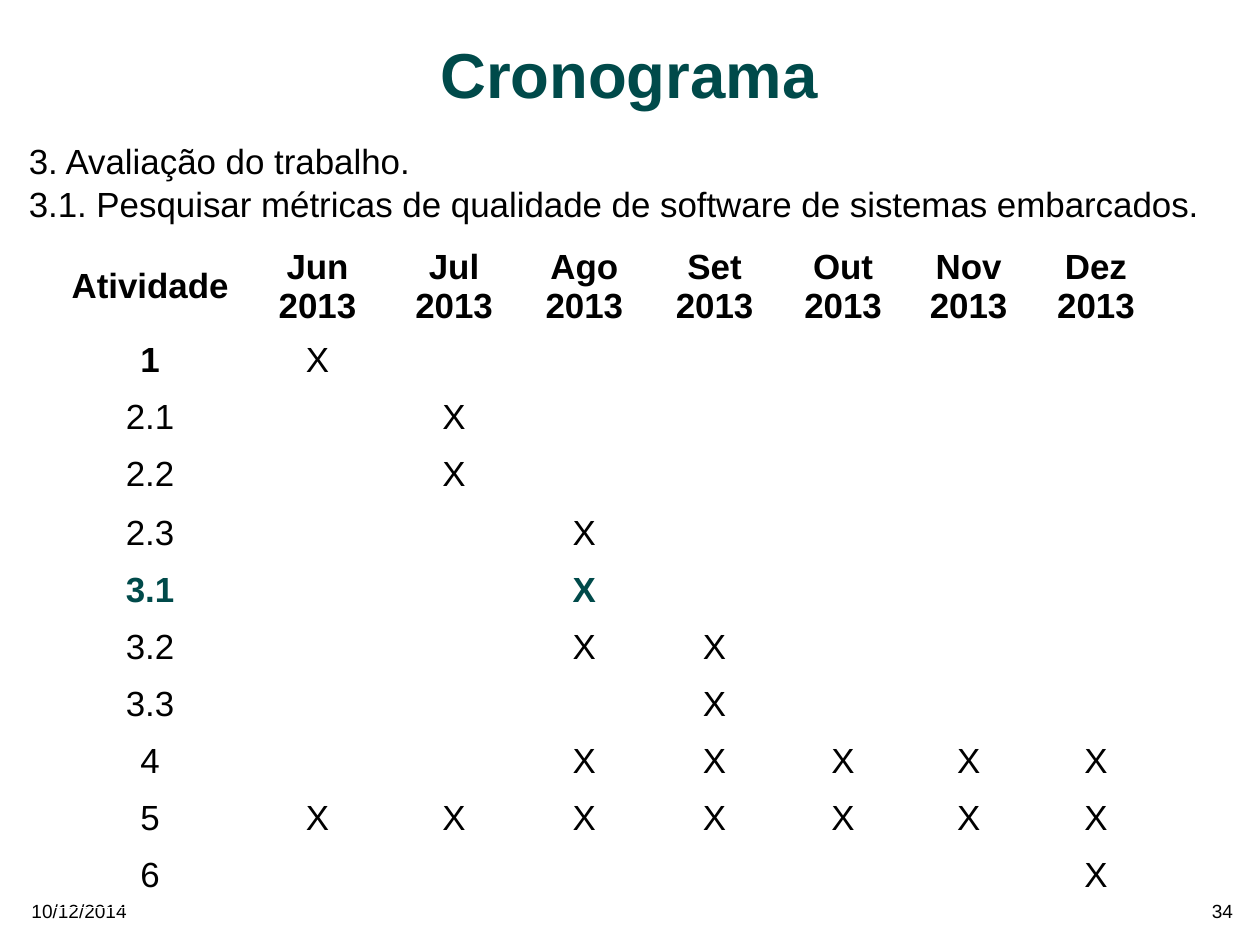
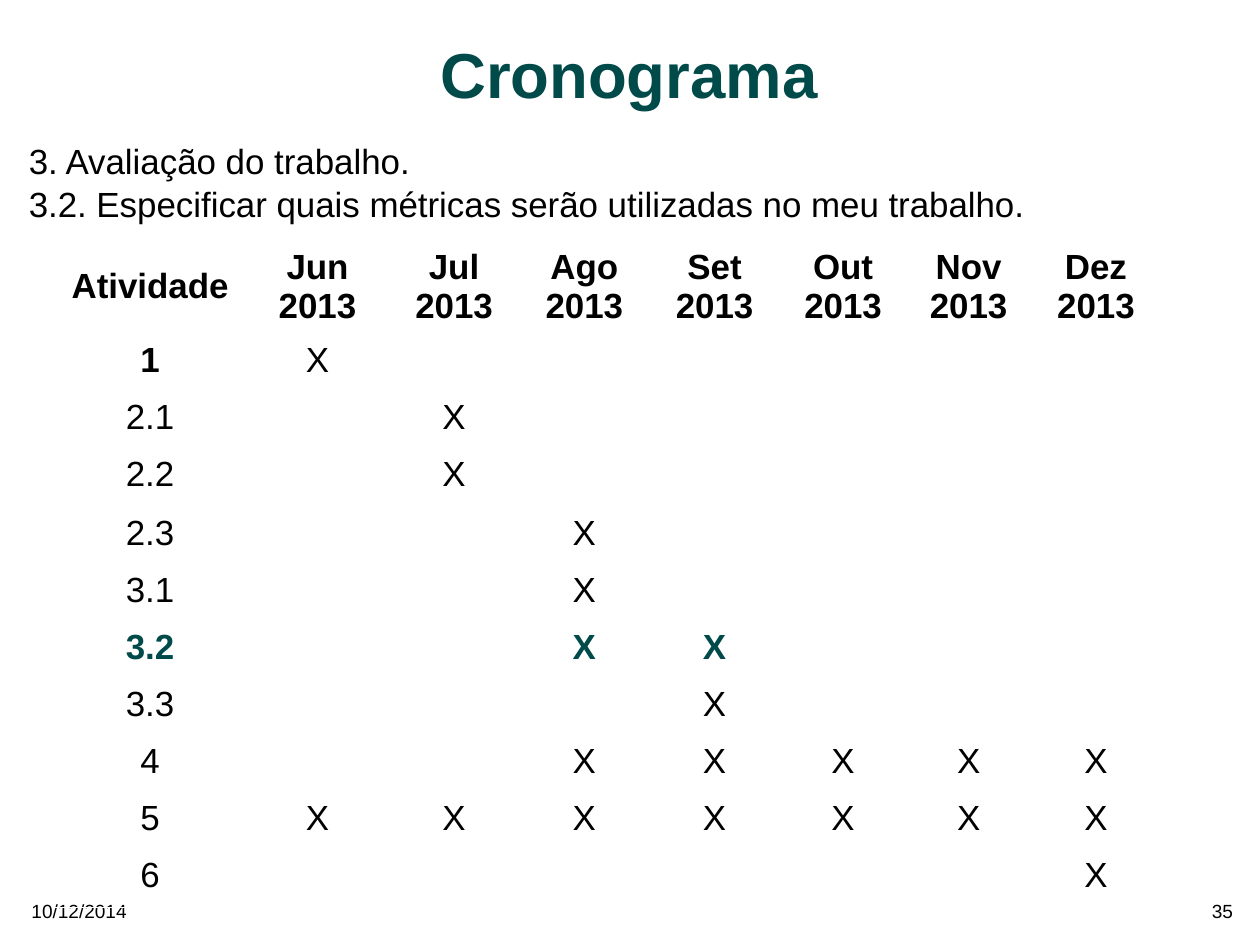
from dataclasses import dataclass

import pptx
import pptx.dml.color
import pptx.enum.text
import pptx.oxml
import pptx.oxml.ns
import pptx.util
from pptx.util import Cm

ALIGN = pptx.enum.text.PP_ALIGN
ANCHOR = pptx.enum.text.MSO_ANCHOR


@dataclass(frozen=True)
class Theme:
    font: str = "Arial"
    accent: str = "004A4A"
    text: str = "000000"
    border: str = "FFFFFF"
    border_width: float = 1.19
    title_size: int = 40
    body_size: int = 22
    footer_size: int = 12


THEME = Theme()
SLIDE_SIZE = (Cm(28), Cm(21))
TITLE_BOX = (Cm(3.23), Cm(0.46), Cm(21.49), Cm(2.64))
BODY_BOX = (Cm(0.64), Cm(3.1), Cm(26.67), Cm(1.93))
FOOTER_BOX = (Cm(0.7), Cm(20), Cm(26.7), Cm(0.53))
FOOTER_PART_WIDTH = Cm(7.4)
TABLE_ORIGIN = (Cm(1.19), Cm(5.31))

COLUMN_WIDTHS = (4.29, 3.15, 2.92, 2.87, 2.92, 2.79, 2.79, 2.87)
ROW_HEIGHTS = (2.13, 1.27, 1.27, 1.3) + (1.27,) * 7
MONTHS = ("Jun", "Jul", "Ago", "Set", "Out", "Nov", "Dez")
YEAR = "2013"
SCHEDULE = {
    "1": ("Jun",),
    "2.1": ("Jul",),
    "2.2": ("Jul",),
    "2.3": ("Ago",),
    "3.1": ("Ago",),
    "3.2": ("Ago", "Set"),
    "3.3": ("Set",),
    "4": MONTHS[2:],
    "5": MONTHS,
    "6": ("Dez",),
}
DATE = "10/12/2014"
STAGE = "3. Avaliação do trabalho."
SLIDES = (
    (34, "3.1", "Pesquisar métricas de qualidade de software de sistemas embarcados."),
    (35, "3.2", "Especificar quais métricas serão utilizadas no meu trabalho."),
)


def write_lines(text_frame, lines, size, color=THEME.text, bold=False, align=ALIGN.LEFT):
    for index, line in enumerate(lines):
        paragraph = text_frame.add_paragraph() if index else text_frame.paragraphs[0]
        paragraph.text = line
        paragraph.alignment = align
        font = paragraph.font
        font.name = THEME.font
        font.size = pptx.util.Pt(size)
        font.bold = bold
        font.color.rgb = pptx.dml.color.RGBColor.from_string(color)


def add_text(slide, box, lines, size, anchor=ANCHOR.TOP, **style):
    text_frame = slide.shapes.add_textbox(*box).text_frame
    text_frame.word_wrap = True
    text_frame.vertical_anchor = anchor
    text_frame.margin_left = text_frame.margin_right = 0
    text_frame.margin_top = text_frame.margin_bottom = 0
    write_lines(text_frame, lines, size, **style)
    return text_frame


def add_title(slide, box):
    text_frame = add_text(slide, box, ["Cronograma"], THEME.title_size, ANCHOR.MIDDLE,
                          color=THEME.accent, bold=True, align=ALIGN.CENTER)
    text_frame.paragraphs[0].line_spacing = 0.8


def add_description(slide, box, lines):
    text_frame = add_text(slide, box, lines, THEME.body_size)
    for paragraph in text_frame.paragraphs[1:]:
        paragraph.space_before = pptx.util.Pt(1)


def add_footer(slide, box, number):
    left, top, width, height = box
    number_left = left + width - FOOTER_PART_WIDTH
    add_text(slide, (left, top, FOOTER_PART_WIDTH, height), [DATE], THEME.footer_size)
    add_text(slide, (number_left, top, FOOTER_PART_WIDTH, height), [str(number)],
             THEME.footer_size, align=ALIGN.RIGHT)


def style_cell(cell, anchor):
    cell.margin_left = cell.margin_right = Cm(0.1)
    cell.margin_top = cell.margin_bottom = Cm(0.13)
    cell.vertical_anchor = anchor
    cell.fill.background()
    properties = cell._tc.get_or_add_tcPr()
    for index, side in enumerate("LRTB"):
        properties.insert(index, pptx.oxml.parse_xml(
            f'<a:ln{side} {pptx.oxml.ns.nsdecls("a")} w="{pptx.util.Pt(THEME.border_width)}">'
            f'<a:solidFill><a:srgbClr val="{THEME.border}"/></a:solidFill></a:ln{side}>'))


def add_schedule(slide, origin, current):
    size = (Cm(sum(COLUMN_WIDTHS)), Cm(sum(ROW_HEIGHTS)))
    table = slide.shapes.add_table(len(ROW_HEIGHTS), len(COLUMN_WIDTHS), *origin, *size).table
    table.first_row = table.horz_banding = False
    for column, width in zip(table.columns, COLUMN_WIDTHS):
        column.width = Cm(width)
    for row, height in zip(table.rows, ROW_HEIGHTS):
        row.height = Cm(height)

    headings = [["Atividade"]] + [[month, YEAR] for month in MONTHS]
    for cell, lines in zip(table.rows[0].cells, headings):
        style_cell(cell, ANCHOR.MIDDLE)
        write_lines(cell.text_frame, lines, THEME.body_size, bold=True, align=ALIGN.CENTER)

    for row_index, (activity, active_months) in enumerate(SCHEDULE.items(), start=1):
        is_current = activity == current
        color = THEME.accent if is_current else THEME.text
        labels = [activity] + ["X" if month in active_months else "" for month in MONTHS]
        for column_index, label in enumerate(labels):
            cell = table.cell(row_index, column_index)
            style_cell(cell, ANCHOR.TOP)
            if label:
                write_lines(cell.text_frame, [label], THEME.body_size, color,
                            is_current or label == "1", ALIGN.CENTER)


def add_schedule_slide(presentation, number, activity, description):
    slide = presentation.slides.add_slide(presentation.slide_layouts[6])
    add_footer(slide, FOOTER_BOX, number)
    add_title(slide, TITLE_BOX)
    add_description(slide, BODY_BOX, [STAGE, f"{activity}. {description}"])
    add_schedule(slide, TABLE_ORIGIN, activity)


def main():
    presentation = pptx.Presentation()
    presentation.slide_width, presentation.slide_height = SLIDE_SIZE
    for number, activity, description in SLIDES:
        add_schedule_slide(presentation, number, activity, description)
    presentation.save("out.pptx")


if __name__ == "__main__":
    main()
